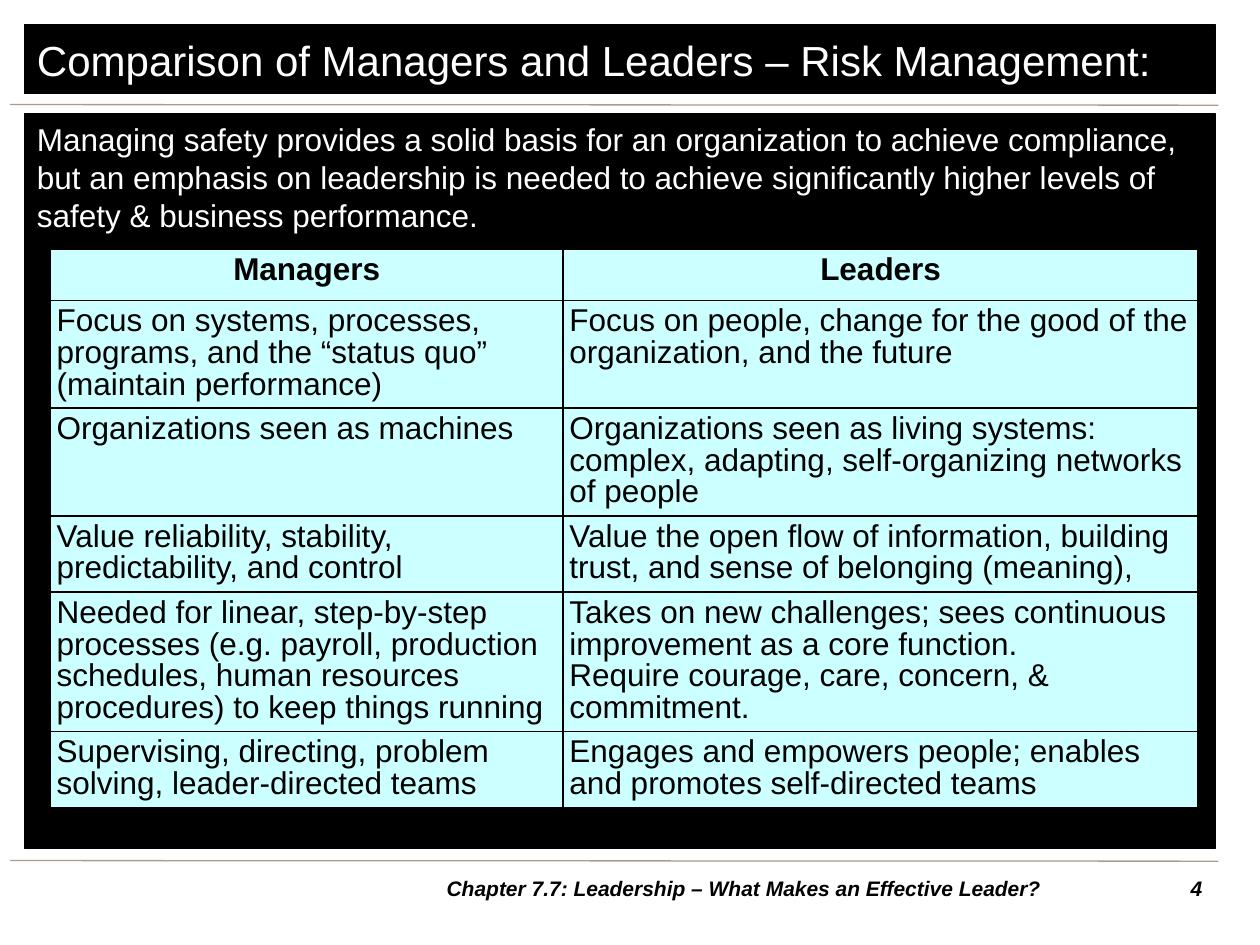
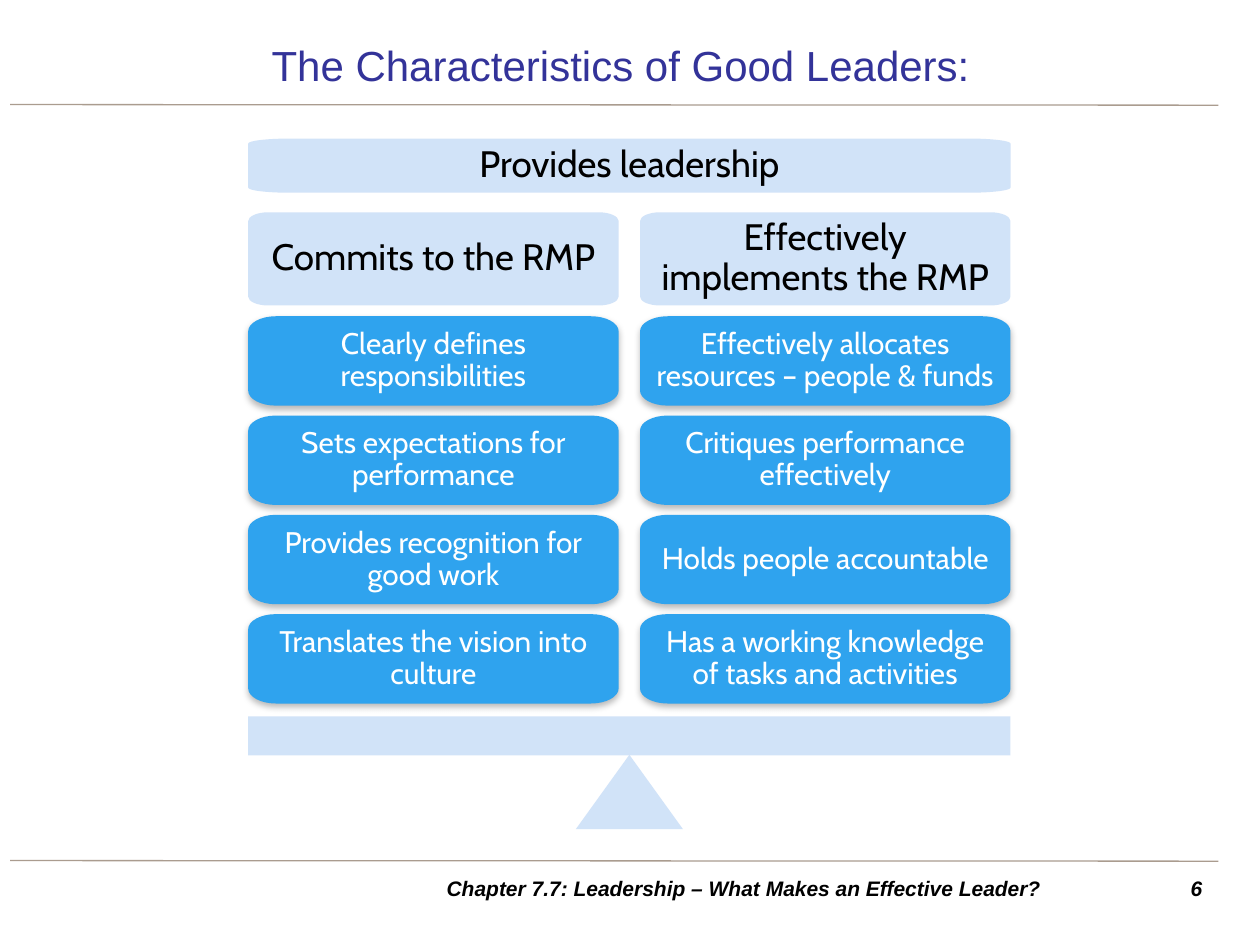
import pptx
import pptx.dml.color
import pptx.enum.shapes
import pptx.enum.text
import pptx.oxml.ns
import pptx.util
from lxml import etree

COLOURS = {
    "black": "000000",
    "white": "FFFFFF",
    "rule": "AA9C8F",
    "title": "333399",
    "table": "CCFFFF",
    "pale": "CDE0F8",
    "blue": "2FA3EE",
}
RGB = {name: pptx.dml.color.RGBColor.from_string(code) for name, code in COLOURS.items()}
ALIGN = pptx.enum.text.PP_ALIGN
ANCHOR = pptx.enum.text.MSO_ANCHOR
SHAPE = pptx.enum.shapes.MSO_SHAPE
qn = pptx.oxml.ns.qn

deck = pptx.Presentation()
deck.slide_width = pptx.util.Inches(10)
deck.slide_height = pptx.util.Inches(7.5)
CELL = deck.slide_width // 100


def grid(*cells):
    """Turn counts of grid cells (100 columns by 75 rows to a slide) into lengths."""
    return [pptx.util.Emu(round(count * CELL)) for count in cells]


def write(frame, text, size, colour="black", font="Arial", align=ALIGN.LEFT,
          bold=False, italic=False, spacing=1.0):
    frame.word_wrap = True
    frame.text = text
    for para in frame.paragraphs:
        para.alignment = align
        para.line_spacing = spacing
        for span in para.runs:
            span.font.size = pptx.util.Pt(size)
            span.font.name = font
            span.font.bold = bold
            span.font.italic = italic
            span.font.color.rgb = RGB[colour]


# Shared rules and footer
FOOTER = "Chapter 7.7: Leadership – What Makes an Effective Leader?"
pages = []
for number in ("4", "6"):
    page = deck.slides.add_slide(deck.slide_layouts[6])
    pages.append(page)
    for row in (8.3, 68.3):
        rule = page.shapes.add_connector(
            pptx.enum.shapes.MSO_CONNECTOR.STRAIGHT, *grid(0.8, row, 96.7, row + 0.05))
        rule.line.color.rgb = RGB["rule"]
        rule.line.width = pptx.util.Pt(0.75)
        etree.SubElement(rule._element.spPr, qn("a:effectLst"))
    for text, left, width, align in ((FOOTER, 29.5, 59.1, ALIGN.CENTER),
                                     (number, 90.6, 5.8, ALIGN.RIGHT)):
        box = page.shapes.add_textbox(*grid(left, 68.9, width, 3.1))
        box.text_frame.vertical_anchor = ANCHOR.MIDDLE
        write(box.text_frame, text, 12, align=align, bold=True, italic=True)
comparison, characteristics = pages

# Managers and leaders
INTRO = ("Managing safety provides a solid basis for an organization to achieve compliance, "
         "but an emphasis on leadership is needed to achieve significantly higher levels of "
         "safety & business performance.")
HEADING = "Comparison of Managers and Leaders – Risk Management:"
for text, top, height, size, anchor in ((INTRO, 9.05, 58.3, 18, ANCHOR.TOP),
                                        (HEADING, 1.95, 5.5, 24, ANCHOR.MIDDLE)):
    panel = comparison.shapes.add_shape(SHAPE.RECTANGLE, *grid(1.95, top, 94.5, height))
    panel.shadow.inherit = False
    panel.fill.solid()
    panel.fill.fore_color.rgb = RGB["black"]
    panel.line.color.rgb = RGB["black"]
    panel.line.width = pptx.util.Pt(0.75)
    panel.text_frame.vertical_anchor = anchor
    write(panel.text_frame, text, size, "white")

CONTRASTS = [
    ("Managers", "Leaders"),
    ("Focus on systems, processes, programs, and the “status quo” (maintain performance)",
     "Focus on people, change for the good of the organization, and the future"),
    ("Organizations seen as machines",
     "Organizations seen as living systems: complex, adapting, self-organizing networks "
     "of people"),
    ("Value reliability, stability, predictability, and control",
     "Value the open flow of information, building trust, and sense of belonging (meaning),"),
    ("Needed for linear, step-by-step processes (e.g. payroll, production schedules, "
     "human resources procedures) to keep things running",
     "Takes on new challenges; sees continuous improvement as a core function.\n"
     "Require courage, care, concern, & commitment."),
    ("Supervising, directing, problem solving, leader-directed teams",
     "Engages and empowers people; enables and promotes self-directed teams"),
]
table = comparison.shapes.add_table(
    len(CONTRASTS), 2, *grid(4, 19.8, 91.1, 4.05 * len(CONTRASTS))).table
for column, width in zip(table.columns, grid(40.7, 50.4)):
    column.width = width
for row, contrast in enumerate(CONTRASTS):
    for column, text in enumerate(contrast):
        cell = table.cell(row, column)
        (cell.margin_left, cell.margin_top,
         cell.margin_right, cell.margin_bottom) = grid(0.5, 0.5, 0.5, 0.5)
        properties = cell._tc.get_or_add_tcPr()
        for side in ("a:lnL", "a:lnR", "a:lnT", "a:lnB"):
            border = etree.SubElement(properties, qn(side), w="12700")
            fill = etree.SubElement(border, qn("a:solidFill"))
            etree.SubElement(fill, qn("a:srgbClr"), val=COLOURS["black"])
        cell.fill.solid()
        cell.fill.fore_color.rgb = RGB["table"]
        header = row == 0
        write(cell.text_frame, text, 18, align=ALIGN.CENTER if header else ALIGN.LEFT,
              bold=header, spacing=pptx.util.Pt(18.1))

# Balance of leadership characteristics
box = characteristics.shapes.add_textbox(*grid(2, 2.4, 94.5, 5.5))
box.text_frame.vertical_anchor = ANCHOR.MIDDLE
write(box.text_frame, "The Characteristics of Good Leaders:", 24, "title", align=ALIGN.CENTER)

LEFT, FULL, GAP = 19.7, 60.5, 1.7
HALF = (FULL - GAP) / 2
pale_shapes = []
for kind, left, top, width, height in (
        (SHAPE.ISOSCELES_TRIANGLE, LEFT + (FULL - 8.5) / 2, 59.9, 8.5, 5.9),
        (SHAPE.RECTANGLE, LEFT, 56.85, FULL, 3.1)):
    pale_shapes.append(characteristics.shapes.add_shape(kind, *grid(left, top, width, height)))

SIDES = [
    ("Commits to the RMP",
     ["Clearly defines responsibilities", "Sets expectations for performance",
      "Provides recognition for good work", "Translates the vision into culture"]),
    ("Effectively implements the RMP",
     ["Effectively allocates resources – people & funds", "Critiques performance effectively",
      "Holds people accountable", "Has a working knowledge of tasks and activities"]),
]
# Each tile: text, is pale, left, top, width, height, corner width, corner height
tiles = [("Provides leadership", True, LEFT, 11, FULL, 4.3, 3.3, 0.4)]
for side, (heading, traits) in enumerate(SIDES):
    left = LEFT + side * (HALF + GAP)
    tiles.append((heading, True, left, 16.85, HALF, 7.4, 1.6, 0.7))
    for row, trait in enumerate(traits):
        tiles.append((trait, False, left, 25.1 + 7.88 * row, HALF, 7.1, 2.2, 1.2))

ROUNDNESS = 0.55
for text, pale, left, top, width, height, corner_x, corner_y in tiles:
    right, bottom = left + width, top + height
    near_x, far_x = left + corner_x, right - corner_x
    near_y, far_y = top + corner_y, bottom - corner_y
    outline = [grid(x, y) for x, y in (
        (left, near_y), (near_x, top), (far_x, top), (right, near_y),
        (right, far_y), (far_x, bottom), (near_x, bottom), (left, far_y))]
    builder = characteristics.shapes.build_freeform(*outline[0])
    builder.add_line_segments(outline[1:], close=True)
    tile = builder.convert_to_shape()

    # Every other segment is a corner: bend it into a curve
    points = list(tile._element.spPr.iter(qn("a:pt")))
    places = [(int(point.get("x")), int(point.get("y"))) for point in points]
    for index in range(0, 8, 2):
        start, end = places[index], places[index + 1]
        corner = (start[0], end[1]) if index % 4 == 0 else (end[0], start[1])
        segment = points[index + 1].getparent()
        curve = etree.Element(qn("a:cubicBezTo"))
        for anchor in (start, end):
            x, y = (round(a + ROUNDNESS * (c - a)) for a, c in zip(anchor, corner))
            etree.SubElement(curve, qn("a:pt"), x=str(x), y=str(y))
        etree.SubElement(curve, qn("a:pt"), x=str(end[0]), y=str(end[1]))
        segment.getparent().replace(segment, curve)

    frame = tile.text_frame
    frame.vertical_anchor = ANCHOR.MIDDLE
    (frame.margin_left, frame.margin_top,
     frame.margin_right, frame.margin_bottom) = grid(1.2, 1.2, 1.2, 1.2)
    write(frame, text, 21 if pale else 17, "black" if pale else "white", "Cabin",
          ALIGN.CENTER, spacing=0.9)
    if pale:
        pale_shapes.append(tile)
        continue
    tile.fill.solid()
    tile.fill.fore_color.rgb = RGB["blue"]
    tile.line.fill.background()
    tile.shadow.inherit = False
    shadow = etree.SubElement(
        tile._element.spPr.find(qn("a:effectLst")), qn("a:outerShdw"),
        blurRad=str(pptx.util.Pt(4)), dist=str(pptx.util.Pt(2)), dir="5400000", rotWithShape="0")
    shade = etree.SubElement(shadow, qn("a:srgbClr"), val=COLOURS["black"])
    etree.SubElement(shade, qn("a:alpha"), val="28000")

for shape in pale_shapes:
    shape.shadow.inherit = False
    shape.line.fill.background()
    shape.fill.solid()
    shape.fill.fore_color.rgb = RGB["pale"]
    tint = shape._element.spPr.find(qn("a:solidFill")).find(qn("a:srgbClr"))
    etree.SubElement(tint, qn("a:alpha"), val="90000")

deck.save("out.pptx")
